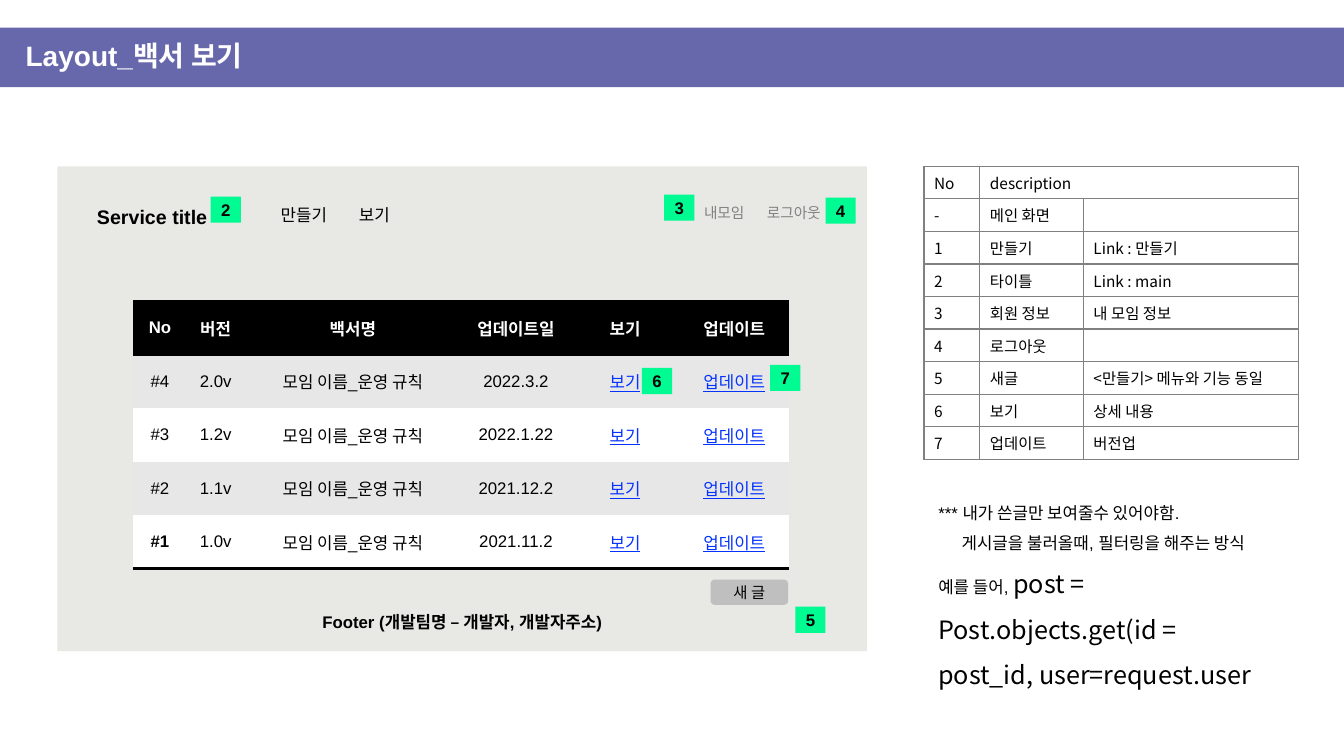
from dataclasses import dataclass

import lxml.etree
import pptx
import pptx.dml.color
import pptx.enum.shapes
import pptx.enum.text
import pptx.oxml.ns
import pptx.shapes.base
import pptx.slide
import pptx.table
import pptx.text.text
import pptx.util

Pt = pptx.util.Pt
RGBColor = pptx.dml.color.RGBColor
Align = pptx.enum.text.PP_ALIGN
Anchor = pptx.enum.text.MSO_ANCHOR
Preset = pptx.enum.shapes.MSO_SHAPE
qn = pptx.oxml.ns.qn

BLACK = RGBColor(0x00, 0x00, 0x00)
WHITE = RGBColor(0xFF, 0xFF, 0xFF)
PURPLE = RGBColor(0x67, 0x68, 0xAC)
PANEL = RGBColor(0xE8, 0xE8, 0xE5)
GREEN = RGBColor(0x00, 0xFB, 0x92)
BAND = RGBColor(0xE7, 0xE7, 0xE7)
BUTTON = RGBColor(0xBF, 0xBF, 0xBF)
GRAY = RGBColor(0x80, 0x80, 0x80)
LINK = RGBColor(0x04, 0x32, 0xFF)
LATIN, KOREAN = "Arial", "Noto Sans CJK KR"
NO_STYLE = "{2D5ABB26-0587-4C30-8999-92F81FD0307C}"


@dataclass(frozen=True)
class Style:
    size: float = 12
    color: RGBColor = BLACK
    bold: bool = False
    font: str = LATIN
    underline: bool = False


@dataclass(frozen=True)
class Label:
    text: str
    left: float
    top: float
    width: float
    height: float
    style: Style = Style()


@dataclass(frozen=True)
class Badge:
    number: int
    left: float
    top: float


PLAIN = Style()
STRONG = Style(bold=True)
HEADER = Style(bold=True, color=WHITE)
LINKED = Style(color=LINK, underline=True)
SMALL = Style(size=11, font=KOREAN)
MUTED = Style(size=10.5, color=GRAY)
CODE = Style(size=18, font=KOREAN)

LABELS = [
    Label("Service title", 33.1, 134.6, 151.2, 30.2, Style(size=14, bold=True)),
    Label("만들기", 174.2, 135.4, 85.7, 27.4),
    Label("보기", 224.6, 135.4, 85.7, 27.4),
    Label("로그아웃", 524.2, 136.1, 85.7, 25.9, MUTED),
    Label("내모임", 485.3, 136.1, 64.1, 25.9, MUTED),
    Label("Footer (개발팀명 – 개발자, 개발자주소)", 58.3, 426.2, 543.6, 27.4, STRONG),
]
BADGES = [
    Badge(2, 150.5, 140.4), Badge(3, 474.5, 139), Badge(4, 589.7, 141.1),
    Badge(6, 458.6, 262.8), Badge(5, 568.1, 433.4), Badge(7, 550.1, 260.6),
]
DESCRIPTIONS = [
    ("No", "description", ""),
    ("-", "메인 화면", ""),
    ("1", "만들기", "Link : 만들기"),
    ("2", "타이틀", "Link : main"),
    ("3", "회원 정보", "내 모임 정보"),
    ("4", "로그아웃", ""),
    ("5", "새글", "<만들기> 메뉴와 기능 동일"),
    ("6", "보기", "상세 내용"),
    ("7", "업데이트", "버전업"),
]
VERSIONS = [
    ("#4", "2.0v", "2022.3.2"), ("#3", "1.2v", "2022.1.22"),
    ("#2", "1.1v", "2021.12.2"), ("#1", "1.0v", "2021.11.2"),
]
NOTES = ["*** 내가 쓴글만 보여줄수 있어야함.", "게시글을 불러올때, 필터링을 해주는 방식", "예를 들어, "]


def format_span(span: pptx.text.text._Run, style: Style) -> None:
    font = span.font
    font.name, font.size = style.font, Pt(style.size)
    font.bold, font.underline = style.bold, style.underline
    font.color.rgb = style.color
    lxml.etree.SubElement(font._element, qn("a:ea"), typeface=KOREAN)


def format_text(frame: pptx.text.text.TextFrame, style: Style, align: Align, spacing: float = 1) -> None:
    for para in frame.paragraphs:
        para.alignment, para.line_spacing = align, spacing
        for span in para.runs:
            format_span(span, style)


def add_block(page: pptx.slide.Slide, preset: Preset, label: Label, fill: RGBColor) -> None:
    box = page.shapes.add_shape(preset, Pt(label.left), Pt(label.top), Pt(label.width), Pt(label.height))
    box.shadow.inherit = False
    box.fill.solid()
    box.fill.fore_color.rgb = fill
    box.line.fill.background()
    if label.text:
        frame = box.text_frame
        frame.margin_left = frame.margin_right = frame.margin_top = frame.margin_bottom = 0
        frame.vertical_anchor = Anchor.MIDDLE
        frame.text = label.text
        format_text(frame, label.style, Align.CENTER)


def add_label(page: pptx.slide.Slide, label: Label, align: Align = Align.CENTER) -> pptx.text.text.TextFrame:
    box = page.shapes.add_textbox(Pt(label.left), Pt(label.top), Pt(label.width), Pt(label.height))
    frame = box.text_frame
    frame.word_wrap = True
    frame.text = label.text
    format_text(frame, label.style, align, 1.5)
    return frame


def add_grid(page: pptx.slide.Slide, left: float, top: float, widths: list[float],
             row_height: float, row_count: int) -> pptx.table.Table:
    """Add a table without any built-in style."""
    table = page.shapes.add_table(row_count, len(widths), Pt(left), Pt(top),
                                  Pt(sum(widths)), Pt(row_height * row_count)).table
    table.first_row = table.horz_banding = False
    table._tbl.tblPr.find(qn("a:tableStyleId")).text = NO_STYLE
    for column, width in zip(table.columns, widths):
        column.width = Pt(width)
    for row in table.rows:
        row.height = Pt(row_height)
    return table


def fill_cell(cell: pptx.table._Cell, text: str, style: Style, align: Align, fill: RGBColor,
              sides: str = "", border: RGBColor = BLACK, weight: float = 2) -> None:
    """Write and format a cell; sides takes the letters L, R, T and B in that order."""
    cell.text = text
    cell.vertical_anchor = Anchor.MIDDLE
    format_text(cell.text_frame, style, align)
    if not text:
        lxml.etree.SubElement(cell.text_frame.paragraphs[0]._p, qn("a:endParaRPr"), sz=str(style.size * 100))
    properties = cell._tc.get_or_add_tcPr()
    for side in sides:
        line = lxml.etree.SubElement(properties, qn(f"a:ln{side}"), w=str(Pt(weight)))
        solid = lxml.etree.SubElement(line, qn("a:solidFill"))
        lxml.etree.SubElement(solid, qn("a:srgbClr"), val=str(border))
    cell.fill.solid()
    cell.fill.fore_color.rgb = fill


def add_title(page: pptx.slide.Slide) -> None:
    title = page.shapes.title
    title.left, title.top, title.width, title.height = 0, Pt(19.7), Pt(960), Pt(42.5)
    title.fill.solid()
    title.fill.fore_color.rgb = PURPLE
    frame = title.text_frame
    frame.text = "Layout_백서 보기"
    frame.margin_left = Pt(18.3)
    frame.vertical_anchor = Anchor.MIDDLE
    format_text(frame, Style(size=20, color=WHITE, bold=True), Align.LEFT, 0.9)


def add_descriptions(page: pptx.slide.Slide) -> None:
    table = add_grid(page, 660, 118.8, [39.9, 74, 153.4], 23.25, len(DESCRIPTIONS))
    for row, texts in enumerate(DESCRIPTIONS):
        for column, text in enumerate(texts):
            fill_cell(table.cell(row, column), text, SMALL, Align.LEFT, WHITE, "LRTB", GRAY, 1)
    table.cell(0, 1).merge(table.cell(0, 2))


def add_versions(page: pptx.slide.Slide) -> None:
    rows = [("No", "버전", "백서명", "업데이트일", "보기", "업데이트")]
    rows += [(number, version, "모임 이름_운영 규칙", date, "보기", "업데이트")
             for number, version, date in VERSIONS]
    table = add_grid(page, 95, 215.3, [38.6, 41, 155, 78, 78, 78], 38.16, len(rows))
    last = len(rows) - 1
    for row, texts in enumerate(rows):
        for column, text in enumerate(texts):
            if row == 0:
                style, fill, sides = HEADER, BLACK, "TB"
            else:
                style = LINKED if column >= 4 else STRONG if text == "#1" else PLAIN
                fill, sides = (BAND if row % 2 else WHITE), ("B" if row == last else "")
            fill_cell(table.cell(row, column), text, style, Align.CENTER, fill, sides)


def add_notes(page: pptx.slide.Slide) -> None:
    frame = add_label(page, Label("\n".join(NOTES), 663.1, 348.5, 255.6, 144.7), Align.LEFT)
    frame.paragraphs[1]._p.get_or_add_pPr().set("marL", str(Pt(16.7)))
    span = frame.paragraphs[2].add_run()
    span.text = "post = Post.objects.get(id = post_id, user=request.user"
    format_span(span, CODE)


def main() -> None:
    deck = pptx.Presentation()
    deck.slide_width, deck.slide_height = Pt(960), Pt(540)
    page = deck.slides.add_slide(deck.slide_layouts[5])
    add_title(page)
    add_block(page, Preset.RECTANGLE, Label("", 41, 118.8, 578.2, 346.3), PANEL)
    add_descriptions(page)
    add_versions(page)
    for label in LABELS:
        add_label(page, label)
    add_block(page, Preset.ROUNDED_RECTANGLE, Label("새 글", 507.6, 414, 55.4, 18, SMALL), BUTTON)
    for badge in BADGES:
        label = Label(str(badge.number), badge.left, badge.top, 21.6, 18.7, STRONG)
        add_block(page, Preset.RECTANGLE, label, GREEN)
    add_notes(page)
    deck.save("out.pptx")


if __name__ == "__main__":
    main()
